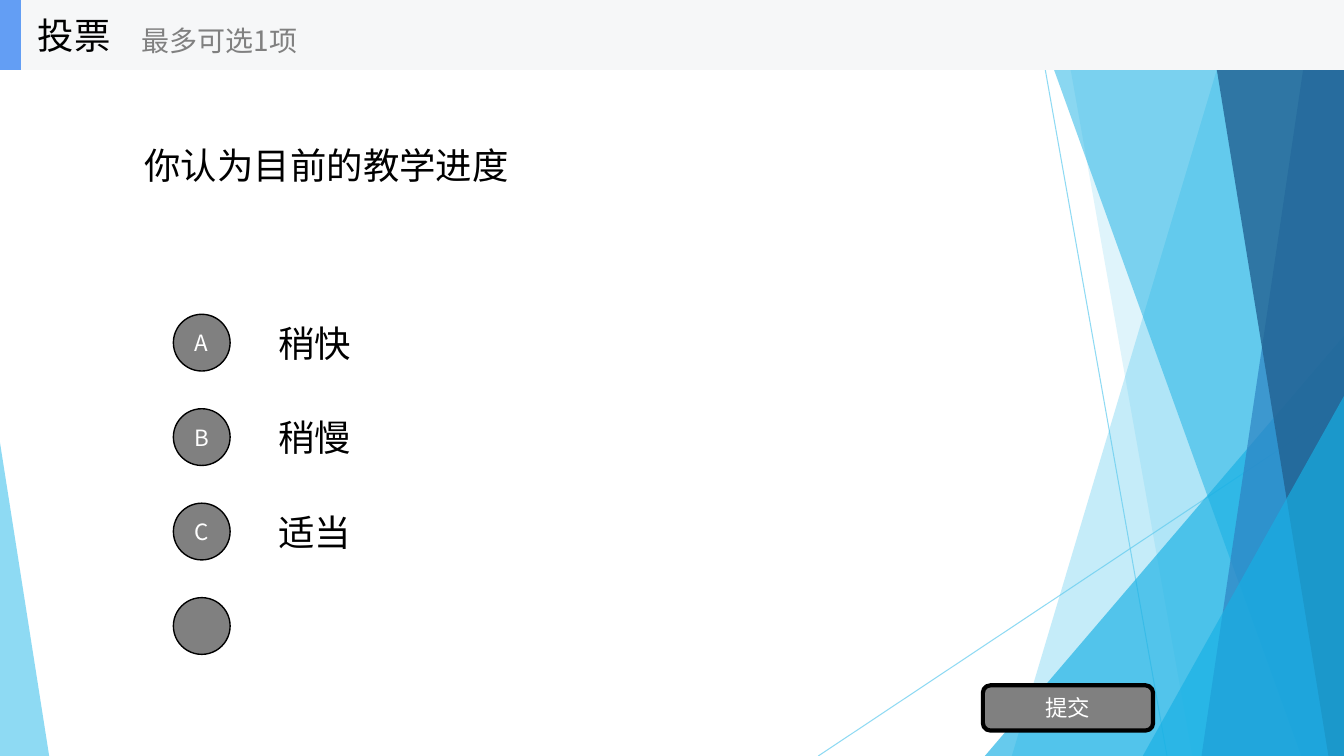
from lxml.etree import SubElement
from pptx import Presentation
from pptx.dml.color import RGBColor
from pptx.enum.shapes import MSO_CONNECTOR, MSO_SHAPE
from pptx.enum.text import MSO_ANCHOR, PP_ALIGN
from pptx.oxml.ns import qn
from pptx.util import Cm, Pt

COLOURS = {
    "black": "000000", "white": "FFFFFF", "grey": "808080",
    "bar": "F6F7F8", "accent": "639EF4",
    "sky": "5FCBEF", "cyan": "17B0E4", "blue": "2E83C3", "navy": "226292",
}
FONT = "Noto Sans CJK SC"
WIDTH, HEIGHT = 33.87, 19.05


def write(box, text, size=26, colour="black", align=PP_ALIGN.LEFT):
    frame = box.text_frame
    frame.word_wrap = True
    frame.vertical_anchor = MSO_ANCHOR.MIDDLE
    para = frame.paragraphs[0]
    para.alignment = align
    span = para.add_run()
    span.text = text
    span.font.size = Pt(size)
    span.font.name = FONT
    span.font.color.rgb = RGBColor.from_string(COLOURS[colour])
    SubElement(span.font._element, qn("a:ea"), typeface=FONT)


def paint(shape, fill, opacity=100, outline=0):
    """Fill a shape; opacity is a percentage, outline a black line in points."""
    shape.shadow.inherit = False
    shape.fill.solid()
    shape.fill.fore_color.rgb = RGBColor.from_string(COLOURS[fill])
    if opacity < 100:
        tint = shape.element.spPr.find(".//" + qn("a:srgbClr"))
        SubElement(tint, qn("a:alpha"), val=str(opacity * 1000))
    if outline:
        shape.line.color.rgb = RGBColor.from_string(COLOURS["black"])
        shape.line.width = Pt(outline)
    else:
        shape.line.fill.background()


deck = Presentation()
deck.slide_width, deck.slide_height = Cm(WIDTH), Cm(HEIGHT)
page = deck.slides.add_slide(deck.slide_layouts[5])
shapes = page.shapes

# Thin crossing lines on the right
for start_x, start_y, end_x in [(26.03, 0, 29.41), (WIDTH, 10.24, 20.62)]:
    line = shapes.add_connector(MSO_CONNECTOR.STRAIGHT, Cm(start_x), Cm(start_y),
                                Cm(end_x), Cm(HEIGHT))
    line.line.width = Pt(0.75)
    line.line.color.rgb = RGBColor.from_string(COLOURS["sky"])
    tint = line.element.spPr.find(".//" + qn("a:srgbClr"))
    SubElement(tint, qn("a:alpha"), val="70000")
    SubElement(line.element.spPr, qn("a:effectLst"))

# Facets: a band has a slanted left edge, a triangle stands on the bottom edge
facets = [
    ("band", (31.19, 25.5), "sky", 36),
    ("band", (26.67, 30.05), "sky", 20),
    ("triangle", (24.82, 8.46, 9.05, 1), "cyan", 66),
    ("band", (25.93, 32.79), "cyan", 50),
    ("band", (33.1, 30.28), "blue", 70),
    ("band", (30.38, 33.48), "navy", 80),
    ("triangle", (28.8, 9.98, 5.07, 1), "cyan", 66),
    ("triangle", (0, 11.15, 1.24, 0), "sky", 70),
]
for kind, outline, colour, opacity in facets:
    if kind == "band":
        top_x, bottom_x = outline
        builder = shapes.build_freeform(Cm(top_x), Cm(0))
        builder.add_line_segments([(Cm(WIDTH), Cm(0)), (Cm(WIDTH), Cm(HEIGHT)),
                                   (Cm(bottom_x), Cm(HEIGHT))])
        facet = builder.convert_to_shape()
    else:
        left, top, width, apex = outline
        facet = shapes.add_shape(MSO_SHAPE.ISOSCELES_TRIANGLE, Cm(left), Cm(top),
                                 Cm(width), Cm(HEIGHT - top))
        facet.adjustments[0] = apex
    paint(facet, colour, opacity)

# Question
question = shapes.title
question.left, question.top = Cm(3.39), Cm(1.19)
question.width, question.height = Cm(27.1), Cm(5.94)
write(question, "你认为目前的教学进度")

# Answer options; the last one is empty
options = [("A", "稍快"), ("B", "稍慢"), ("C", "适当"), ("", "")]
for index, (letter, answer) in enumerate(options):
    top = 7.75 + 2.38 * index
    bullet = shapes.add_shape(MSO_SHAPE.OVAL, Cm(4.37), Cm(top + 0.17), Cm(1.43), Cm(1.43))
    paint(bullet, "grey", outline=1)
    if letter:
        write(bullet, letter, 16, "white", PP_ALIGN.CENTER)
        box = shapes.add_textbox(Cm(6.77), Cm(top), Cm(23.7), Cm(1.78))
        write(box, answer)

submit = shapes.add_shape(MSO_SHAPE.ROUNDED_RECTANGLE, Cm(24.77), Cm(17.27), Cm(4.29), Cm(1.14))
paint(submit, "grey", outline=3)
write(submit, "提交", 16, "white", PP_ALIGN.CENTER)

# Header bar
for width, colour in [(WIDTH, "bar"), (0.53, "accent")]:
    bar = shapes.add_shape(MSO_SHAPE.RECTANGLE, Cm(0), Cm(0), Cm(width), Cm(1.76))
    paint(bar, colour)
heading = shapes.add_textbox(Cm(0.7), Cm(0), Cm(5.29), Cm(1.76))
write(heading, "投票")
hint = shapes.add_textbox(Cm(3.32), Cm(0.3), Cm(6.35), Cm(1.43))
write(hint, "最多可选1项", 20, "grey")

deck.save("out.pptx")
